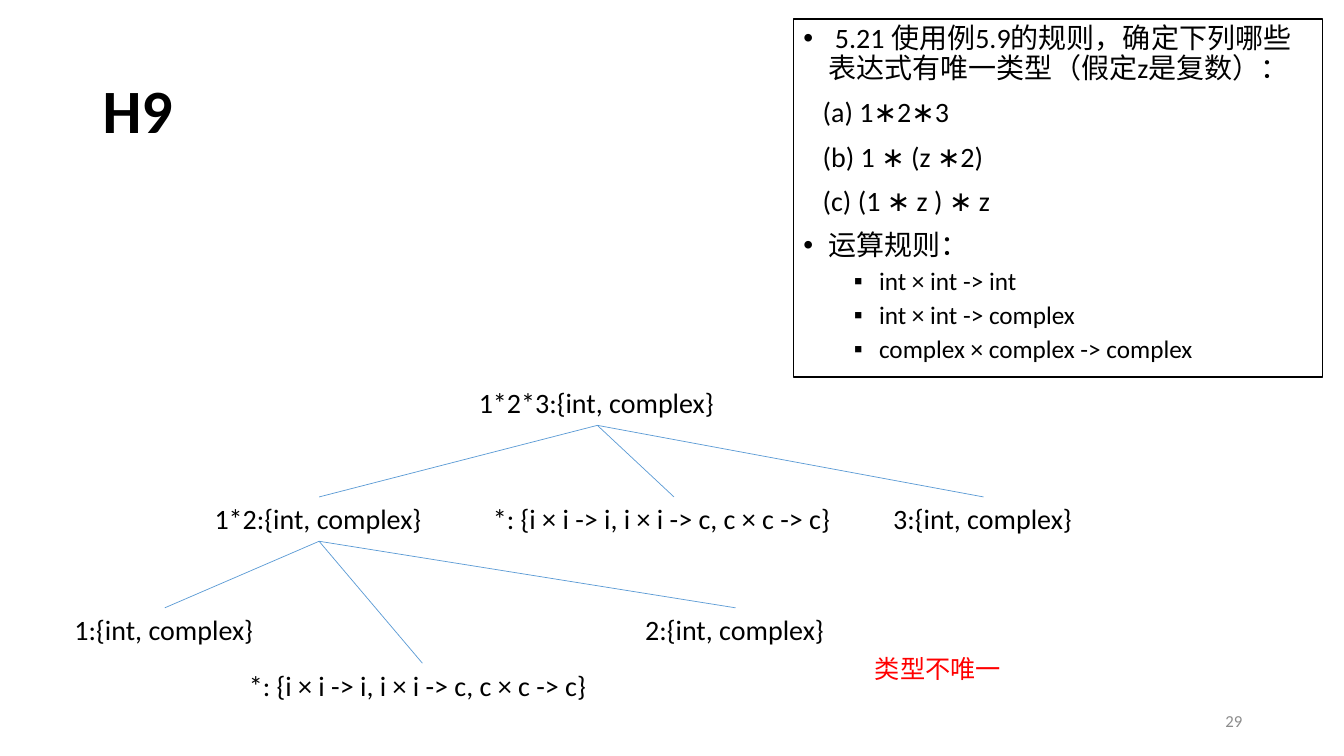
from lxml import etree
from pptx import Presentation
from pptx.dml.color import RGBColor
from pptx.enum.shapes import MSO_CONNECTOR, MSO_SHAPE
from pptx.enum.text import MSO_ANCHOR, PP_ALIGN
from pptx.oxml.ns import qn
from pptx.util import Inches, Pt

STRAIGHT = MSO_CONNECTOR.STRAIGHT
RECTANGLE = MSO_SHAPE.RECTANGLE
TOP, MIDDLE = MSO_ANCHOR.TOP, MSO_ANCHOR.MIDDLE
LEFT, RIGHT = PP_ALIGN.LEFT, PP_ALIGN.RIGHT

FONT = "Calibri"
COLORS = {"text": "000000", "paper": "FFFFFF", "branch": "5B9BD5",
          "verdict": "FF0000", "number": "8C8C8C"}

# Paragraph styles: bullet, left margin, hanging indent, size, space before
POINT = ("•", 0.25, -0.25, 20, 10)
CASE = (None, 0.19, 0, 20, 10)
RULE = ("▪", 0.75, -0.25, 18, 5)
EXERCISE = [
    (" 5.21 使用例5.9的规则，确定下列哪些表达式有唯一类型（假定z是复数）：", POINT),
    ("(a) 1∗2∗3", CASE),
    ("(b) 1 ∗ (z ∗2)", CASE),
    ("(c) (1 ∗ z ) ∗ z", CASE),
    ("运算规则：", POINT),
    ("int × int -> int", RULE),
    ("int × int -> complex", RULE),
    ("complex × complex -> complex", RULE),
]

NODE_HEIGHT = 0.44
OPERATOR = "*: {i × i -> i, i × i -> c, c × c -> c}"
# Each node: text, left, top and width within the tree, wrapping, children
TREE = ("1*2*3:{int, complex}", 4.01, 0, 2.55, False, [
    ("1*2:{int, complex}", 1.39, 1.15, 2.27, False, [
        ("1:{int, complex}", 0, 2.25, 1.99, False, []),
        (OPERATOR, 1.73, 2.8, 3.64, True, []),
        ("2:{int, complex}", 5.66, 2.25, 1.99, False, []),
    ]),
    (OPERATOR, 4.15, 1.15, 3.79, True, []),
    ("3:{int, complex}", 8.12, 1.15, 1.99, False, []),
])


def rgb(name):
    return RGBColor.from_string(COLORS[name])


def style(paragraph, size, color="text", bold=False):
    for run in paragraph.runs:
        run.font.name = FONT
        run.font.size = Pt(size)
        run.font.bold = bold
        run.font.color.rgb = rgb(color)


def add_label(slide, text, box, size, color="text", bold=False,
              wrap=True, anchor=TOP, align=LEFT):
    label = slide.shapes.add_textbox(*map(Inches, box))
    frame = label.text_frame
    frame.word_wrap = wrap
    frame.vertical_anchor = anchor
    frame.text = text
    paragraph = frame.paragraphs[0]
    paragraph.alignment = align
    style(paragraph, size, color, bold)
    return paragraph


def set_indent(paragraph, bullet, margin, indent):
    properties = paragraph._p.get_or_add_pPr()
    properties.set("marL", str(Inches(margin)))
    properties.set("indent", str(Inches(indent)))
    if bullet:
        etree.SubElement(properties, qn("a:buFont"), typeface="Arial")
        etree.SubElement(properties, qn("a:buChar"), char=bullet)
    else:
        etree.SubElement(properties, qn("a:buNone"))


def add_exercise(slide, box):
    panel = slide.shapes.add_shape(RECTANGLE, *map(Inches, box))
    panel.shadow.inherit = False
    panel.fill.solid()
    panel.fill.fore_color.rgb = rgb("paper")
    panel.line.color.rgb = rgb("text")
    panel.line.width = Pt(1)
    frame = panel.text_frame
    frame.word_wrap = True
    frame.vertical_anchor = TOP
    for index, (text, (bullet, margin, indent, size, before)) in enumerate(EXERCISE):
        paragraph = frame.add_paragraph() if index else frame.paragraphs[0]
        paragraph.text = text
        set_indent(paragraph, bullet, margin, indent)
        paragraph.alignment = LEFT
        paragraph.line_spacing = 0.9
        paragraph.space_before = Pt(before if index else 0)
        style(paragraph, size)


def add_branch(slide, start, end):
    branch = slide.shapes.add_connector(STRAIGHT, *map(Inches, start + end))
    branch.line.color.rgb = rgb("branch")
    branch.line.width = Pt(0.5)
    etree.SubElement(branch._element.spPr, qn("a:effectLst"))


def add_tree(slide, node, left, top):
    """Draw a node and its subtree; return the top centre of the node."""
    text, dx, dy, width, wrap, children = node
    x, y = left + dx, top + dy
    add_label(slide, text, (x, y, width, NODE_HEIGHT), 20, wrap=wrap)
    center = x + width / 2
    for child in children:
        child_top = add_tree(slide, child, left, top)
        add_branch(slide, (center, y + NODE_HEIGHT), child_top)
    return center, y


def main():
    deck = Presentation()
    deck.slide_width, deck.slide_height = Inches(13.33), Inches(7.5)
    slide = deck.slides.add_slide(deck.slide_layouts[6])
    title = add_label(slide, "H9", (0.92, 0.4, 11.5, 1.45), 44,
                      bold=True, anchor=MIDDLE)
    title.line_spacing = 0.9
    add_exercise(slide, (7.87, 0.19, 5.25, 3.55))
    add_tree(slide, TREE, 0.64, 3.78)
    add_label(slide, "类型不唯一", (8.58, 6.43, 1.46, 0.4), 18, "verdict", wrap=False)
    add_label(slide, "29", (9.42, 6.95, 3, 0.4), 12, "number",
              anchor=MIDDLE, align=RIGHT)
    deck.save("out.pptx")


if __name__ == "__main__":
    main()
